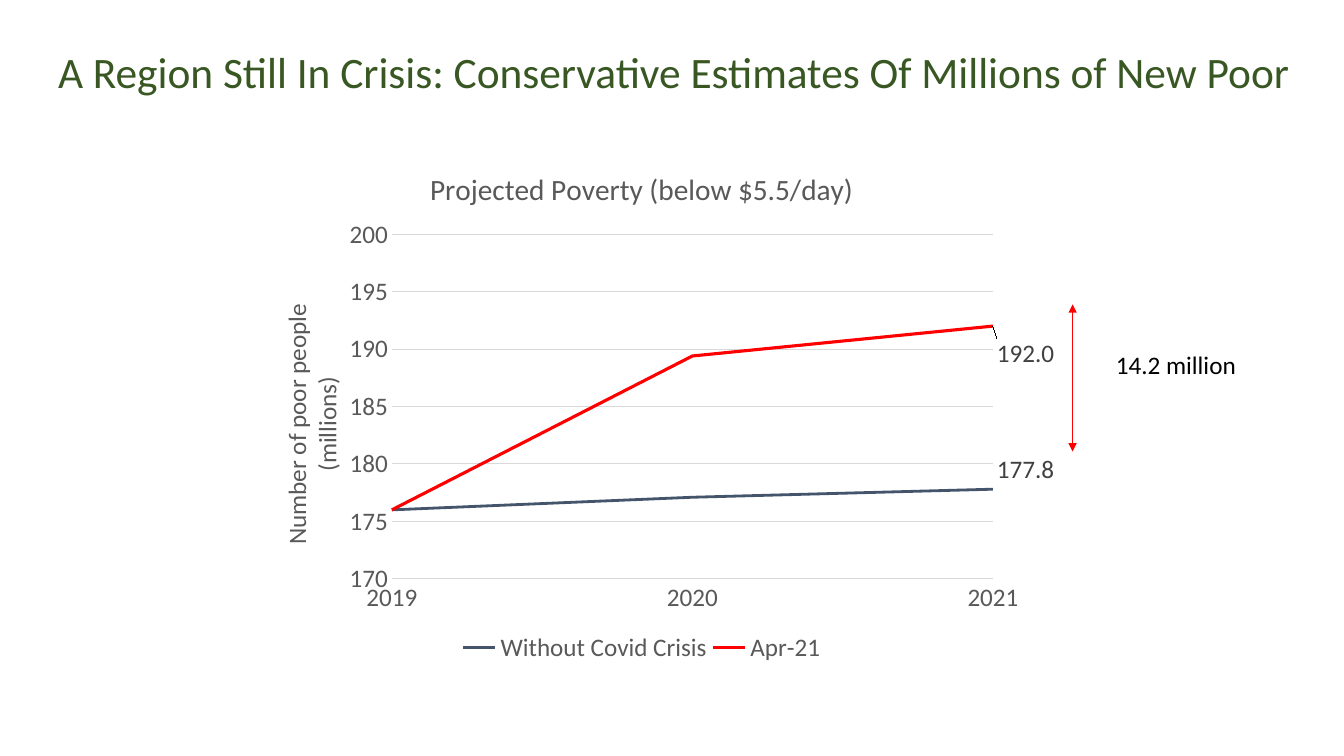
from dataclasses import dataclass

from lxml.etree import SubElement
from pptx import Presentation
from pptx.chart.data import CategoryChartData
from pptx.dml.color import RGBColor
from pptx.enum.chart import XL_CHART_TYPE, XL_LABEL_POSITION, XL_LEGEND_POSITION, XL_TICK_MARK
from pptx.enum.shapes import MSO_CONNECTOR
from pptx.enum.text import MSO_ANCHOR, PP_ALIGN
from pptx.oxml import parse_xml
from pptx.oxml.ns import nsdecls, qn
from pptx.util import Cm, Pt


@dataclass(frozen=True)
class Theme:
    """Colours, font and type sizes of the slide."""
    font: str = "Calibri"
    title: str = "385723"
    text: str = "000000"
    muted: str = "595959"
    label: str = "404040"
    grid: str = "D9D9D9"
    baseline: str = "44546A"
    crisis: str = "FF0000"
    title_size: float = 31
    heading_size: float = 21
    body_size: float = 18


THEME = Theme()


def set_font(font, size, color):
    """Give a font the theme typeface, a size and a colour."""
    font.name = THEME.font
    font.size = Pt(size)
    font.bold = False
    font.color.rgb = RGBColor.from_string(color)


def set_line(line, color, width):
    """Give a line a solid colour and a width in points."""
    line.color.rgb = RGBColor.from_string(color)
    line.width = Pt(width)


def set_layout(parent, index, mode, **parts):
    """Place a chart part by fractions of the chart area."""
    for old in parent.findall(qn("c:layout")):
        parent.remove(old)
    layout = parse_xml(f"<c:layout {nsdecls('c')}/>")
    manual = SubElement(layout, qn("c:manualLayout"))
    if mode == "inner":
        SubElement(manual, qn("c:layoutTarget")).set("val", "inner")
    if mode != "offset":
        for axis in "xy":
            SubElement(manual, qn(f"c:{axis}Mode")).set("val", "edge")
    for name, value in parts.items():
        SubElement(manual, qn(f"c:{name}")).set("val", str(value))
    parent.insert(index, layout)


def write_title(title, lines, size):
    """Fill a chart or axis title, one paragraph a line."""
    tf = title.text_frame
    tf.text = "\n".join(lines)
    for p in tf.paragraphs:
        set_font(p.font, size, THEME.muted)


def add_title(s, x, y, w, h):
    """Put the heading in the title placeholder."""
    sp = s.shapes.title
    sp.left, sp.top, sp.width, sp.height = Cm(x), Cm(y), Cm(w), Cm(h)
    tf = sp.text_frame
    tf.word_wrap = True
    tf.vertical_anchor = MSO_ANCHOR.MIDDLE
    tf.text = "A Region Still In Crisis: Conservative Estimates Of Millions of New Poor"
    p = tf.paragraphs[0]
    p.alignment = PP_ALIGN.CENTER
    p.line_spacing = 0.7
    set_font(p.font, THEME.title_size, THEME.title)


def style_axes(chart):
    """Format both axes and the gridlines."""
    cat, val = chart.category_axis, chart.value_axis
    for axis in (cat, val):
        axis.major_tick_mark = axis.minor_tick_mark = XL_TICK_MARK.NONE
        set_font(axis.tick_labels.font, THEME.body_size, THEME.muted)
    set_line(cat.format.line, THEME.grid, 0.75)
    val.format.line.fill.background()
    set_line(val.major_gridlines.format.line, THEME.grid, 0.75)
    val.minimum_scale, val.maximum_scale, val.major_unit = 170, 200, 5
    val.tick_labels.number_format = "0"
    val.tick_labels.number_format_is_linked = False
    write_title(val.axis_title, ["Number of poor people", "(millions)"], THEME.body_size)
    set_layout(val.axis_title._element, 1, "edge", x=0.036, y=0.306)
    ax = val._element
    for old in ax.findall(qn("c:crossBetween")):
        ax.remove(old)
    between = parse_xml(f'<c:crossBetween {nsdecls("c")} val="midCat"/>')
    ax.find(qn("c:crosses")).addnext(between)


def add_poverty_chart(s, x, y, w, h):
    """Draw the projected poverty line chart."""
    data = CategoryChartData(number_format="0.0")
    data.categories = ["2019", "2020", "2021"]
    data.add_series("Without Covid Crisis", [176, 177.1, 177.8])
    data.add_series("Apr-21", [176, 189.4, 192])
    chart = s.shapes.add_chart(
        XL_CHART_TYPE.LINE, Cm(x), Cm(y), Cm(w), Cm(h), data).chart
    set_font(chart.font, THEME.body_size, THEME.text)
    write_title(chart.chart_title, ["Projected Poverty (below $5.5/day)"], THEME.heading_size)
    set_layout(chart.chart_title._element, 1, "edge", x=0.22, y=0.05)
    style_axes(chart)

    plot = chart.plots[0]
    plot.vary_by_categories = False
    styles = [(THEME.baseline, 2, -0.036), (THEME.crisis, 2.25, 0.052)]
    for series, (color, width, shift) in zip(plot.series, styles):
        series.smooth = False
        set_line(series.format.line, color, width)
        label = series.points[2].data_label
        label.position = XL_LABEL_POSITION.RIGHT
        set_font(label.font, THEME.body_size, THEME.label)
        set_layout(series._element.find(".//" + qn("c:dLbl")), 1, "offset", x=0, y=shift)

    chart.has_legend = True
    chart.legend.position = XL_LEGEND_POSITION.BOTTOM
    chart.legend.include_in_layout = False
    set_font(chart.legend.font, THEME.body_size, THEME.muted)
    set_layout(chart.legend._element, 1, "edge", x=0.26, y=0.93, w=0.46, h=0.065)
    area = chart._chartSpace.find(".//" + qn("c:plotArea"))
    set_layout(area, 0, "inner", x=0.179, y=0.183, w=0.748, h=0.643)


def add_gap_note(s, x, y, w, h):
    """Mark the gap between the lines with an arrow and its size."""
    arrow = s.shapes.add_connector(MSO_CONNECTOR.STRAIGHT, Cm(x), Cm(y), Cm(x), Cm(y + h))
    set_line(arrow.line, THEME.crisis, 0.5)
    for end in ("a:headEnd", "a:tailEnd"):
        SubElement(arrow.line._get_or_add_ln(), qn(end)).set("type", "triangle")
    SubElement(arrow._element.spPr, qn("a:effectLst"))
    gap = 0.84
    sp = s.shapes.add_textbox(Cm(x + gap), Cm(y + 1.02), Cm(w - gap), Cm(1.02))
    tf = sp.text_frame
    tf.word_wrap = True
    tf.text = "14.2 million"
    set_font(tf.paragraphs[0].font, THEME.body_size, THEME.text)


def main():
    """Build and save the slide."""
    prs = Presentation()
    prs.slide_width, prs.slide_height = Cm(33.87), Cm(19.05)
    s = prs.slides.add_slide(prs.slide_layouts[5])
    add_title(s, 0.89, 0.94, 32.16, 2.01)
    add_poverty_chart(s, 6.25, 3.43, 20.32, 13.51)
    add_gap_note(s, 27.03, 7.67, 4.42, 3.71)
    prs.save("out.pptx")


if __name__ == "__main__":
    main()
